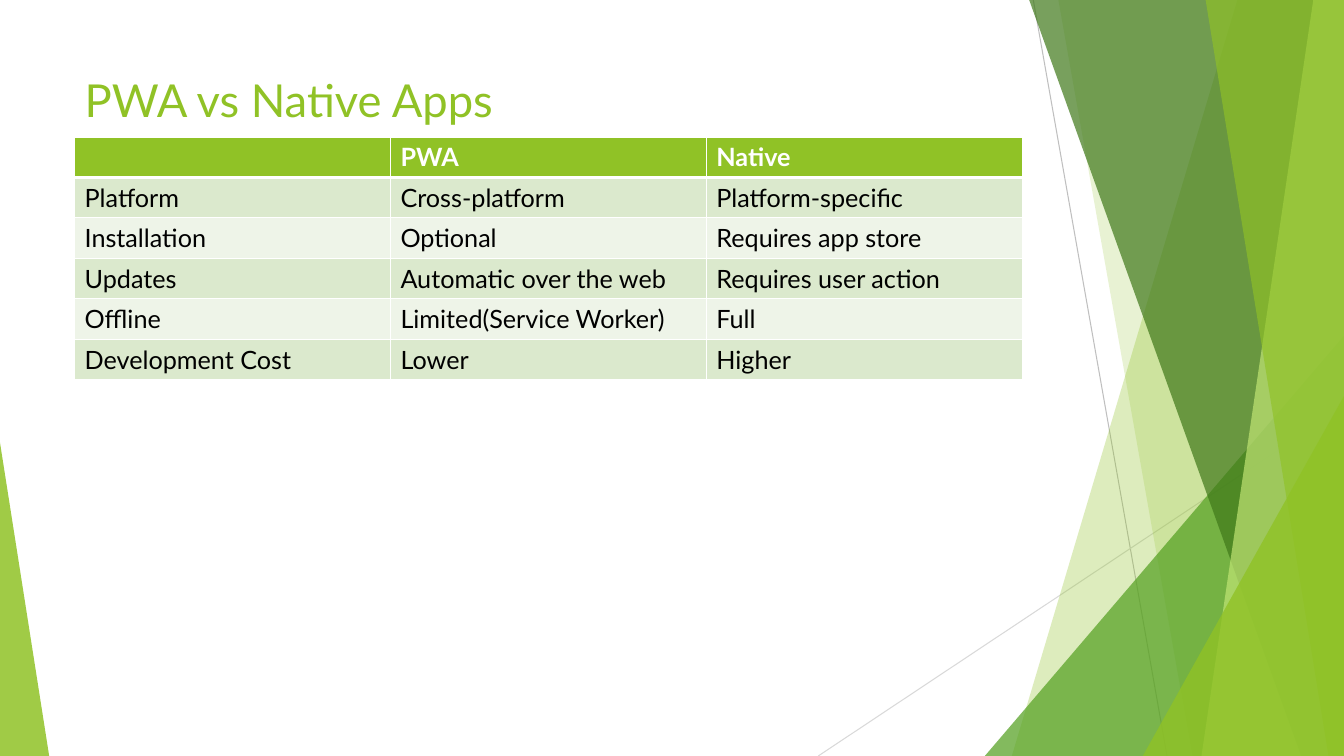
"""Builds a slide comparing progressive web apps with native apps."""
from dataclasses import dataclass

from lxml.etree import SubElement
from pptx import Presentation
from pptx.dml.color import RGBColor
from pptx.enum.shapes import MSO_CONNECTOR as Connector, MSO_SHAPE as Preset
from pptx.enum.text import MSO_ANCHOR as Anchor, MSO_AUTO_SIZE as AutoSize, PP_ALIGN as Align
from pptx.oxml.ns import qn
from pptx.util import Cm, Pt

COLOURS = {
    "white": "FFFFFF", "black": "000000", "lime": "90C226", "leaf": "54A021",
    "forest": "3F7819", "pale": "C0E474", "silver": "BFBFBF", "mist": "D9D9D9",
    "odd_row": "DBE9CD", "even_row": "EEF4E8",
}
FONT = "Lato"
WIDTH, HEIGHT = 33.87, 19.05
BAND_TOP = -0.02
LEFT, TITLE_TOP, TABLE_TOP = 1.88, 1.7, 3.45
CONTENT_WIDTH, ROW_HEIGHT = 23.88, 1.02
ROWS = [
    ("", "PWA", "Native"),
    ("Platform", "Cross-platform", "Platform-specific"),
    ("Installation", "Optional", "Requires app store"),
    ("Updates", "Automatic over the web", "Requires user action"),
    ("Offline", "Limited(Service Worker)", "Full"),
    ("Development Cost", "Lower", "Higher"),
]


@dataclass(frozen=True)
class Ray:
    """A thin line between two points."""
    x1: float
    y1: float
    x2: float
    y2: float
    colour: str


@dataclass(frozen=True)
class Band:
    """A full-height facet reaching the right edge of the page."""
    top_left: float
    bottom_left: float
    colour: str
    opacity: int


@dataclass(frozen=True)
class Wedge:
    """A right-angled triangle standing on the bottom of the page."""
    left: float
    top: float
    width: float
    peak: float
    colour: str
    opacity: int


RAYS = [
    Ray(26.04, 0, 29.41, HEIGHT, "silver"),
    Ray(WIDTH, 10.24, 20.62, HEIGHT, "mist"),
]
FACETS = [
    Band(31.19, 25.5, "lime", 30),
    Band(26.67, 30.05, "lime", 20),
    Wedge(24.82, 8.46, 9.05, 1, "leaf", 72),
    Band(25.93, 32.79, "forest", 70),
    Band(33.1, 30.28, "pale", 70),
    Band(30.38, 33.48, "lime", 65),
    Wedge(28.8, 9.98, 5.07, 1, "lime", 80),
    Wedge(0, 11.15, 1.24, 0, "lime", 85),
]


def rgb(name: str) -> RGBColor:
    """Return the named colour."""
    return RGBColor.from_string(COLOURS[name])


def draw_ray(page, ray: Ray) -> None:
    """Draw a thin line without a shadow."""
    line = page.shapes.add_connector(
        Connector.STRAIGHT, Cm(ray.x1), Cm(ray.y1), Cm(ray.x2), Cm(ray.y2))
    line.line.color.rgb = rgb(ray.colour)
    line.line.width = Pt(0.75)
    SubElement(line._element.spPr, qn("a:effectLst"))


def draw_facet(page, facet: Band | Wedge) -> None:
    """Draw a translucent band or wedge."""
    if isinstance(facet, Band):
        builder = page.shapes.build_freeform(Cm(facet.top_left), Cm(BAND_TOP))
        corners = [(WIDTH, BAND_TOP), (WIDTH, HEIGHT), (facet.bottom_left, HEIGHT)]
        builder.add_line_segments([(Cm(x), Cm(y)) for x, y in corners], close=True)
        shape = builder.convert_to_shape()
    else:
        shape = page.shapes.add_shape(
            Preset.ISOSCELES_TRIANGLE, Cm(facet.left), Cm(facet.top),
            Cm(facet.width), Cm(HEIGHT - facet.top))
        shape.adjustments[0] = facet.peak
    shape.shadow.inherit = False
    shape.line.fill.background()
    shape.fill.solid()
    shape.fill.fore_color.rgb = rgb(facet.colour)
    colour = shape._element.spPr.find(f"{qn('a:solidFill')}/{qn('a:srgbClr')}")
    SubElement(colour, qn("a:alpha"), val=str(facet.opacity * 1000))


def style_para(para, size: float, colour: str, bold: bool = False) -> None:
    """Set the font of a left-aligned paragraph."""
    para.alignment = Align.LEFT
    para.font.name = FONT
    para.font.size = Pt(size)
    para.font.bold = bold
    para.font.color.rgb = rgb(colour)


def add_title(page, text: str) -> None:
    """Place and format the title."""
    title = page.shapes.title
    title.left, title.top = Cm(LEFT), Cm(TITLE_TOP)
    title.width, title.height = Cm(CONTENT_WIDTH), Cm(TABLE_TOP - TITLE_TOP)
    frame = title.text_frame
    frame.text = text
    frame.word_wrap = True
    frame.auto_size = AutoSize.NONE
    frame.vertical_anchor = Anchor.TOP
    style_para(frame.paragraphs[0], 32.4, "lime")


def set_borders(cell, top: int, bottom: int) -> None:
    """Give a cell white borders of the given widths in points."""
    properties = cell._tc.get_or_add_tcPr()
    for side, points in (("L", 1), ("R", 1), ("T", top), ("B", bottom)):
        border = SubElement(properties, qn(f"a:ln{side}"), w=str(Pt(points)))
        fill = SubElement(border, qn("a:solidFill"))
        SubElement(fill, qn("a:srgbClr"), val=COLOURS["white"])


def add_comparison(page) -> None:
    """Draw the comparison table."""
    table = page.shapes.add_table(
        len(ROWS), len(ROWS[0]), Cm(LEFT), Cm(TABLE_TOP),
        Cm(CONTENT_WIDTH), Cm(ROW_HEIGHT * len(ROWS))).table
    for index, texts in enumerate(ROWS):
        header = index == 0
        band = "odd_row" if index % 2 else "even_row"
        for column, text in enumerate(texts):
            cell = table.cell(index, column)
            set_borders(cell, 3 if index == 1 else 1, 3 if header else 1)
            cell.fill.solid()
            cell.fill.fore_color.rgb = rgb("lime" if header else band)
            cell.text = text
            style_para(cell.text_frame.paragraphs[0], 18,
                       "white" if header else "black", header)


def main() -> None:
    """Build and save the deck."""
    deck = Presentation()
    deck.slide_width, deck.slide_height = Cm(WIDTH), Cm(HEIGHT)
    page = deck.slides.add_slide(deck.slide_layouts[5])
    page.background.fill.solid()
    page.background.fill.fore_color.rgb = rgb("white")
    for ray in RAYS:
        draw_ray(page, ray)
    for facet in FACETS:
        draw_facet(page, facet)
    add_title(page, "PWA vs Native Apps")
    add_comparison(page)
    deck.save("out.pptx")


if __name__ == "__main__":
    main()
